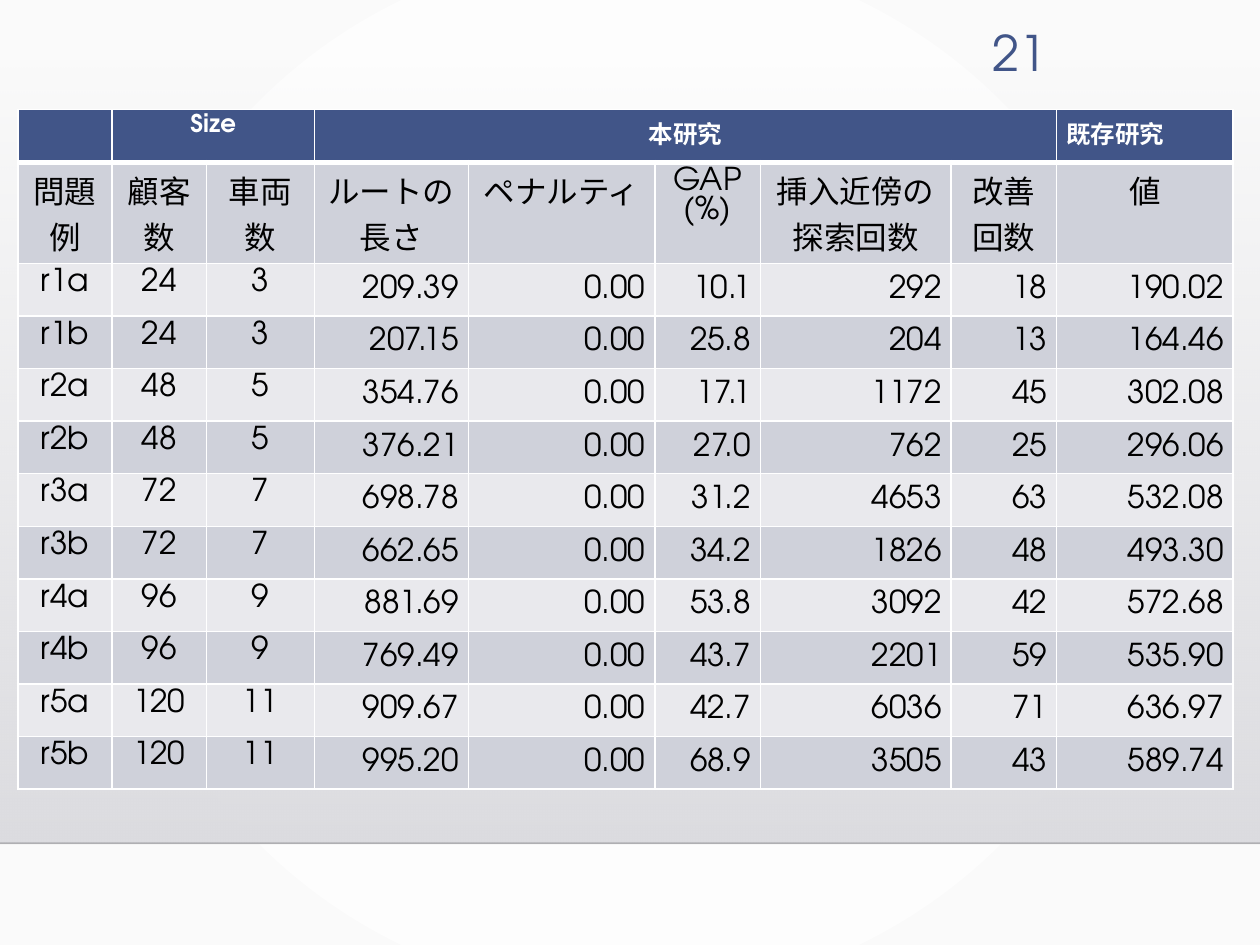
"""Build the slide with the table of experimental results."""
from lxml import etree
from pptx import Presentation
from pptx import util as u
from pptx.dml.color import RGBColor
from pptx.enum import shapes, text
from pptx.oxml import parse_xml
from pptx.oxml.ns import nsdecls, qn

FONT = "TeX Gyre Adventor"
WHITE = RGBColor(0xFF, 0xFF, 0xFF)
OFF_WHITE = RGBColor(0xFA, 0xFA, 0xFA)
BLACK = RGBColor(0x00, 0x00, 0x00)
LINE = RGBColor(0x00, 0x00, 0x01)
NAVY = RGBColor(0x41, 0x55, 0x88)
DARK_BAND = RGBColor(0xCF, 0xD1, 0xDA)
LIGHT_BAND = RGBColor(0xE9, 0xE9, 0xED)
SHADE_TOP = RGBColor(0xDC, 0xDC, 0xE0)
SHADE_BOTTOM = RGBColor(0xDE, 0xDE, 0xE2)

COLS = [1.9, 1.9, 2.18, 3.1, 3.76, 2.13, 3.84, 2.13, 3.56]
ROW_H, LABEL_H = 1.06, 1.91
ROWS = [
    ["", "Size", "", "本研究", "", "", "", "", "既存研究"],
    ["問題例", "顧客数", "車両数", "ルートの長さ", "ペナルティ", "GAP (%)",
     "挿入近傍の\n探索回数", "改善回数", "値"],
    ["r1a", "24", "3", "209.39", "0.00", "10.1", "292", "18", "190.02"],
    ["r1b", "24", "3", "207.15", "0.00", "25.8", "204", "13", "164.46"],
    ["r2a", "48", "5", "354.76", "0.00", "17.1", "1172", "45", "302.08"],
    ["r2b", "48", "5", "376.21", "0.00", "27.0", "762", "25", "296.06"],
    ["r3a", "72", "7", "698.78", "0.00", "31.2", "4653", "63", "532.08"],
    ["r3b", "72", "7", "662.65", "0.00", "34.2", "1826", "48", "493.30"],
    ["r4a", "96", "9", "881.69", "0.00", "53.8", "3092", "42", "572.68"],
    ["r4b", "96", "9", "769.49", "0.00", "43.7", "2201", "59", "535.90"],
    ["r5a", "120", "11", "909.67", "0.00", "42.7", "6036", "71", "636.97"],
    ["r5b", "120", "11", "995.20", "0.00", "68.9", "3505", "43", "589.74"],
]


def set_gradient(fill, first, last):
    fill.gradient()
    for stop, color, pos in zip(fill.gradient_stops, (first, last), (0, 1)):
        stop.color.rgb = color
        stop.position = pos


def set_border(cell, side, width):
    cell._tc.get_or_add_tcPr().append(parse_xml(
        f'<a:ln{side} {nsdecls("a")} w="{u.Pt(width)}"><a:solidFill>'
        f'<a:srgbClr val="{WHITE}"/></a:solidFill></a:ln{side}>'))


prs = Presentation()
prs.slide_width, prs.slide_height = u.Cm(25.4), u.Cm(19.05)
s = prs.slides.add_slide(prs.slide_layouts[6])

set_gradient(s.background.fill, WHITE, OFF_WHITE)
lin = s._element.xpath(".//p:bg//a:lin")[0]
lin.getparent().replace(lin, parse_xml(
    f'<a:path {nsdecls("a")} path="circle">'
    '<a:fillToRect l="50000" t="50000" r="50000" b="50000"/></a:path>'))

sp = s.shapes.add_shape(shapes.MSO_SHAPE.RECTANGLE, 0, u.Cm(1.3), u.Cm(25.4), u.Cm(15.7))
sp.shadow.inherit = False
sp.line.fill.background()
set_gradient(sp.fill, SHADE_TOP, SHADE_BOTTOM)
sp.fill.gradient_angle = 270
first_color = sp._element.xpath(".//a:gs/a:srgbClr")[0]
etree.SubElement(first_color, qn("a:alpha"), val="0")

cxn = s.shapes.add_connector(shapes.MSO_CONNECTOR.STRAIGHT, 0, u.Cm(17), u.Cm(25.4), u.Cm(17))
cxn.line.color.rgb = LINE
cxn.line.width = u.Pt(1)
etree.SubElement(cxn._element.xpath(".//a:ln//a:srgbClr")[0], qn("a:alpha"), val="20000")
etree.SubElement(cxn._element.spPr, qn("a:effectLst"))

heights = [LABEL_H if i == 1 else ROW_H for i in range(len(ROWS))]
tbl = s.shapes.add_table(len(ROWS), len(COLS), u.Cm(0.36), u.Cm(2.21),
                         u.Cm(sum(COLS)), u.Cm(sum(heights))).table
tbl.first_row = tbl.horz_banding = False
for col, width in zip(tbl.columns, COLS):
    col.width = u.Cm(width)
for row, height in zip(tbl.rows, heights):
    row.height = u.Cm(height)

for i, values in enumerate(ROWS):
    header = i == 0
    for j, value in enumerate(values):
        cell = tbl.cell(i, j)
        cell.text = value
        cell.margin_left = cell.margin_right = u.Cm(0.19)
        cell.margin_top = cell.margin_bottom = u.Cm(0.1)
        for side in "LRTB":
            thick = (i, side) in ((0, "B"), (1, "T"))
            set_border(cell, side, 3 if thick else 1)
        cell.fill.solid()
        cell.fill.fore_color.rgb = NAVY if header else DARK_BAND if i % 2 else LIGHT_BAND
        align = text.PP_ALIGN.CENTER
        if header and j == 8:
            align = text.PP_ALIGN.LEFT
        elif i > 1 and j > 2:
            align = text.PP_ALIGN.RIGHT
            cell.vertical_anchor = text.MSO_ANCHOR.MIDDLE
        for p in cell.text_frame.paragraphs:
            p.alignment = align
            p.font.name = FONT
            p.font.size = u.Pt(14 if header else 18)
            p.font.bold = header
            p.font.color.rgb = WHITE if header else BLACK

tbl.cell(0, 1).merge(tbl.cell(0, 2))
tbl.cell(0, 3).merge(tbl.cell(0, 7))

tf = s.shapes.add_textbox(u.Cm(19.15), u.Cm(0.36), u.Cm(2.2), u.Cm(1.4)).text_frame
tf.word_wrap = True
tf.vertical_anchor = text.MSO_ANCHOR.BOTTOM
p = tf.paragraphs[0]
p.text = "21"
p.alignment = text.PP_ALIGN.RIGHT
p.font.name = FONT
p.font.size = u.Pt(28)
p.font.color.rgb = NAVY

prs.save("out.pptx")
